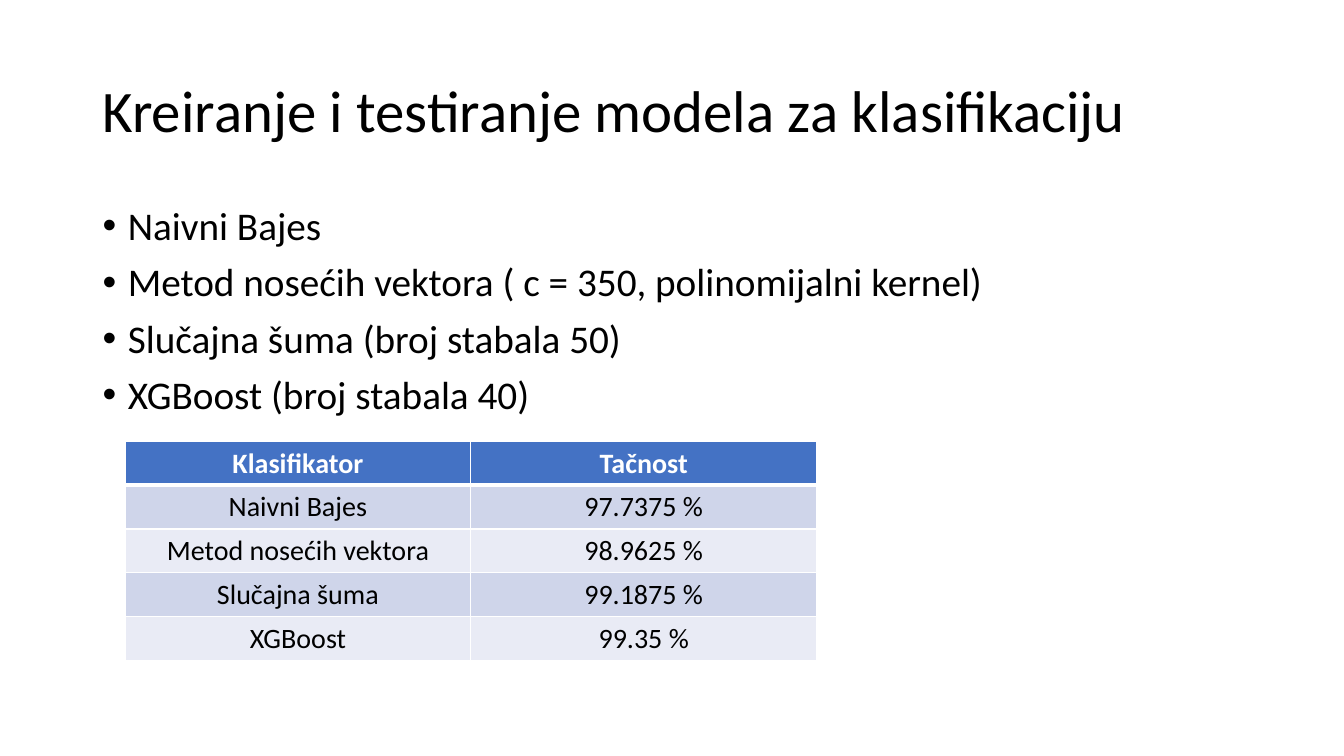
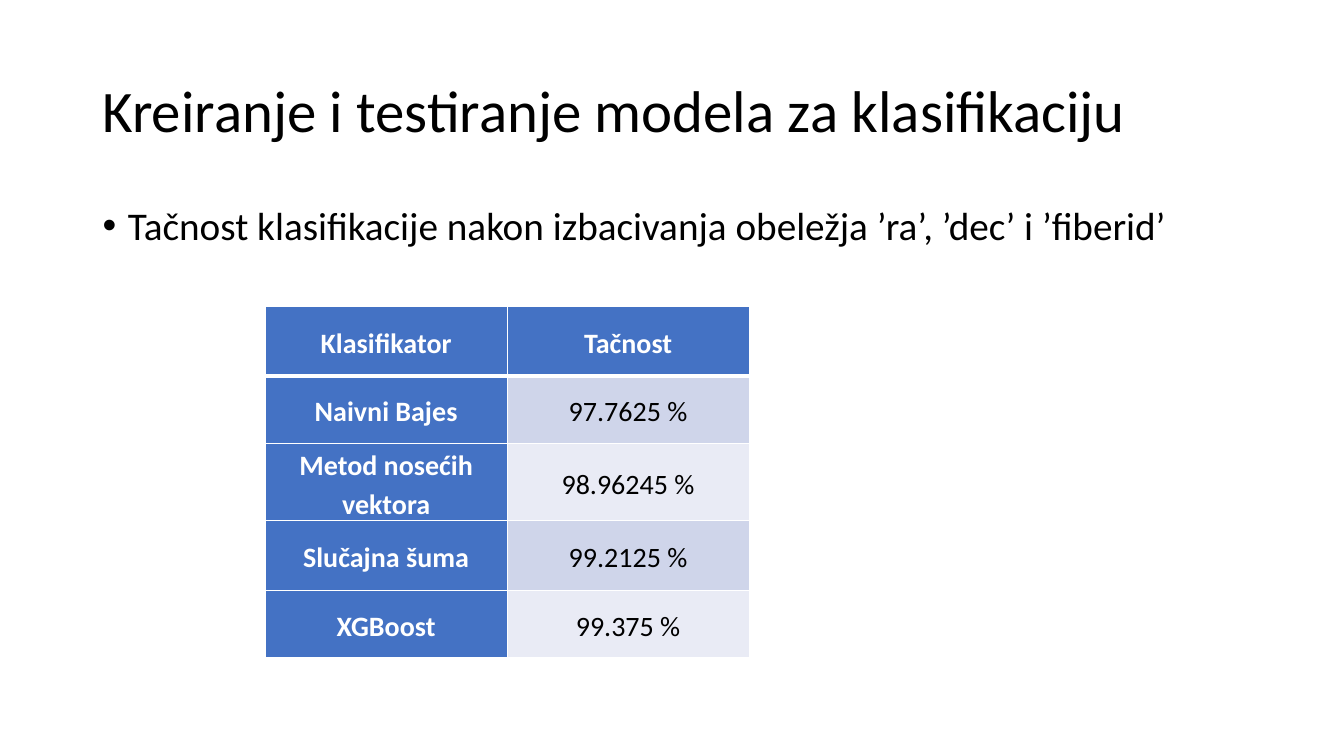
from lxml import etree
from pptx import Presentation
from pptx import util as u
from pptx.dml.color import RGBColor
from pptx.enum import text
from pptx.oxml import ns

TITLE = "Kreiranje i testiranje modela za klasifikaciju"
HEADINGS = ("Klasifikator", "Tačnost")
CLASSIFIERS = ("Naivni Bajes", "Metod nosećih vektora", "Slučajna šuma", "XGBoost")


class DeckBuilder:
    font_name = "Calibri"
    colors = {
        "text": "000000",
        "white": "FFFFFF",
        "header": "4472C4",
        "band_dark": "CFD5EA",
        "band_light": "E9EBF5",
    }

    def __init__(self):
        self.deck = Presentation()
        self.deck.slide_width = u.Inches(13.33)
        self.deck.slide_height = u.Inches(7.5)
        self.slide = None

    def color(self, name):
        return RGBColor.from_string(self.colors[name])

    def add_slide(self, title):
        self.slide = self.deck.slides.add_slide(self.deck.slide_layouts[6])
        frame = self.add_text_frame(0.4, 1.45)
        frame.vertical_anchor = text.MSO_ANCHOR.MIDDLE
        para = frame.paragraphs[0]
        para.text = title
        para.line_spacing = 0.9
        self.style_font(para, 42)

    def add_text_frame(self, top, height):
        box = self.slide.shapes.add_textbox(
            u.Inches(0.92), u.Inches(top), u.Inches(11.5), u.Inches(height))
        box.text_frame.word_wrap = True
        return box.text_frame

    def style_font(self, para, size, color="text", bold=False):
        para.font.name = self.font_name
        para.font.size = u.Pt(size)
        para.font.bold = bold
        para.font.color.rgb = self.color(color)

    def add_bullets(self, lines):
        frame = self.add_text_frame(2, 4.76)
        for index, line in enumerate(lines):
            para = frame.add_paragraph() if index else frame.paragraphs[0]
            para.text = line
            para.line_spacing = 0.9
            para.space_before = u.Pt(10)
            properties = para._p.get_or_add_pPr()
            properties.set("marL", str(u.Inches(0.25)))
            properties.set("indent", str(u.Inches(-0.25)))
            etree.SubElement(properties, ns.qn("a:buFont"), typeface="Arial")
            etree.SubElement(properties, ns.qn("a:buChar"), char="•")
            self.style_font(para, 28)

    def add_table(self, left, top, column_width, row_heights, scores,
                  header_column=False, margins=None, line_spacing=None, space_after=None):
        rows = [HEADINGS, *zip(CLASSIFIERS, scores)]
        table = self.slide.shapes.add_table(
            len(rows), len(HEADINGS), u.Inches(left), u.Inches(top),
            u.Inches(column_width * len(HEADINGS)), u.Inches(sum(row_heights))).table
        table.first_col = header_column
        for column in table.columns:
            column.width = u.Inches(column_width)
        for row_index, values in enumerate(rows):
            table.rows[row_index].height = u.Inches(row_heights[row_index])
            for column_index, value in enumerate(values):
                cell = table.cell(row_index, column_index)
                is_header = row_index == 0 or (header_column and column_index == 0)
                band = "band_dark" if row_index % 2 else "band_light"
                self.add_borders(cell, row_index)
                cell.fill.solid()
                cell.fill.fore_color.rgb = self.color("header" if is_header else band)
                cell.vertical_anchor = text.MSO_ANCHOR.MIDDLE
                if margins:
                    cell.margin_left = cell.margin_right = u.Inches(margins[0])
                    cell.margin_top = cell.margin_bottom = u.Inches(margins[1])
                para = cell.text_frame.paragraphs[0]
                para.text = value
                para.alignment = text.PP_ALIGN.CENTER
                if line_spacing:
                    para.line_spacing = line_spacing
                if space_after:
                    para.space_after = u.Pt(space_after)
                self.style_font(para, 20, "white" if is_header else "text", is_header)

    def add_borders(self, cell, row_index):
        widths = {"lnL": 1, "lnR": 1,
                  "lnT": 3 if row_index == 1 else 1,
                  "lnB": 3 if row_index == 0 else 1}
        properties = cell._tc.get_or_add_tcPr()
        for side, width in widths.items():
            line = etree.SubElement(properties, ns.qn(f"a:{side}"), w=str(u.Pt(width)))
            fill = etree.SubElement(line, ns.qn("a:solidFill"))
            etree.SubElement(fill, ns.qn("a:srgbClr"), val=self.colors["white"])


def main():
    builder = DeckBuilder()

    builder.add_slide(TITLE)
    builder.add_bullets([
        "Naivni Bajes",
        "Metod nosećih vektora ( c = 350, polinomijalni kernel)",
        "Slučajna šuma (broj stabala 50)",
        "XGBoost (broj stabala 40)",
    ])
    builder.add_table(1.24, 4.38, 3.43, [0.4] * 5,
                      ["97.7375 %", "98.9625 %", "99.1875 %", "99.35 %"])

    builder.add_slide(TITLE)
    builder.add_bullets([
        "Tačnost klasifikacije nakon izbacivanja obeležja ’ra’, ’dec’ i ’fiberid’",
    ])
    builder.add_table(2.63, 3.04, 2.4, [0.69, 0.67, 0.71, 0.69, 0.67],
                      ["97.7625 %", "98.96245 %", "99.2125 %", "99.375 %"],
                      header_column=True, margins=(0.07, 0),
                      line_spacing=1.15, space_after=8)

    builder.deck.save("out.pptx")


if __name__ == "__main__":
    main()
